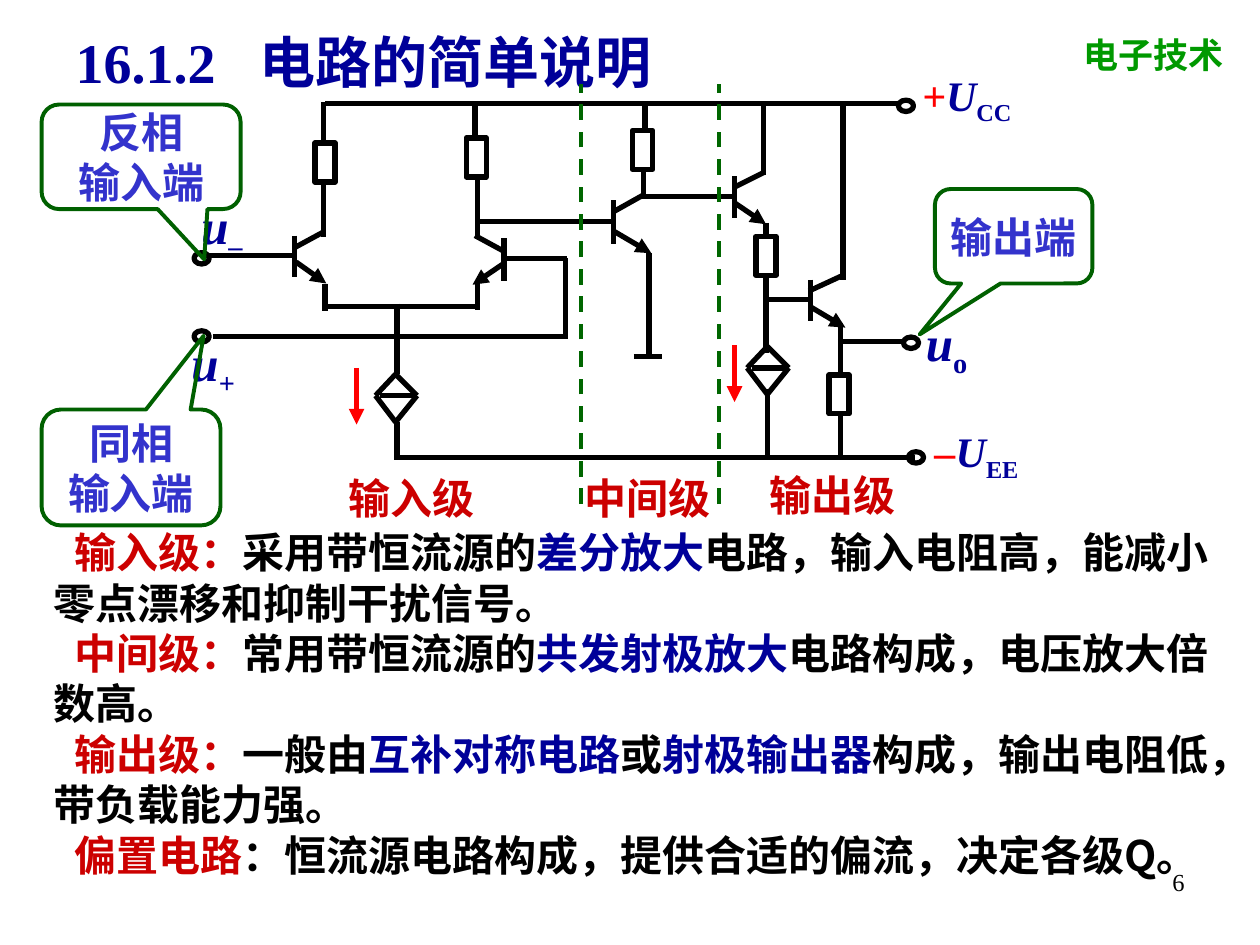
from dataclasses import dataclass

from lxml.etree import SubElement
from pptx import Presentation
from pptx.dml.color import RGBColor
from pptx.enum.dml import MSO_LINE
from pptx.enum.shapes import MSO_CONNECTOR, MSO_SHAPE
from pptx.enum.text import MSO_ANCHOR, PP_ALIGN
from pptx.oxml.ns import qn
from pptx.util import Inches, Pt


@dataclass(frozen=True)
class Theme:
    """Colours, fonts and sizes of the slide."""
    black: str = "000000"
    navy: str = "000099"
    blue: str = "3333CC"
    red: str = "CC0000"
    bright_red: str = "FF0000"
    green: str = "006600"
    callout_green: str = "006000"
    header_green: str = "009900"
    serif: str = "Times New Roman"
    sans: str = "Noto Sans CJK SC"
    title: int = 32
    terminal: int = 28
    body: int = 24
    header: int = 20
    page: int = 14
    wire: float = 3
    outline: float = 2.25


THEME = Theme()

WIRES = [
    (2.58, 0.82, 7.14, 0.82), (3.17, 3.63, 7.26, 3.63),
    (2.57, 0.81, 2.57, 1.13), (2.57, 1.46, 2.57, 1.88), (2.58, 2.25, 2.58, 2.47),
    (3.77, 0.84, 3.77, 1.09), (3.79, 1.39, 3.79, 1.9), (3.79, 2.24, 3.79, 2.46),
    (1.61, 2.03, 2.32, 2.03), (4.5, 2.05, 4, 2.05), (4.49, 2.05, 4.49, 2.69),
    (1.69, 2.67, 4.5, 2.67), (2.56, 2.43, 3.78, 2.43),
    (3.15, 2.41, 3.15, 2.97), (3.15, 3.35, 3.15, 3.65),
    (3.79, 1.76, 4.88, 1.76), (5.12, 0.83, 5.12, 1.03), (5.11, 1.35, 5.11, 1.56),
    (5.15, 2.01, 5.15, 2.83), (5.03, 2.83, 5.25, 2.83), (5.08, 1.56, 5.84, 1.56),
    (6.06, 0.84, 6.06, 1.39), (6.08, 1.77, 6.08, 1.89), (6.08, 2.19, 6.08, 2.8),
    (6.09, 3.09, 6.09, 3.65), (6.08, 2.38, 6.44, 2.38), (6.69, 0.82, 6.69, 2.22),
    (6.67, 2.56, 6.67, 2.98), (6.67, 3.29, 6.67, 3.65), (6.65, 2.71, 7.18, 2.71),
]
TRANSISTORS = [
    ((2.34, 1.87, 2.34, 2.2), (2.33, 1.97, 2.57, 1.84), (2.35, 2.08, 2.59, 2.25)),
    ((4, 1.89, 4, 2.23), (4.01, 2, 3.77, 1.87), (4, 2.09, 3.75, 2.26)),
    ((4.87, 1.59, 4.87, 1.94), (4.87, 1.68, 5.12, 1.54), (4.88, 1.84, 5.17, 2.01)),
    ((5.83, 1.4, 5.83, 1.73), (5.82, 1.49, 6.06, 1.37), (5.83, 1.61, 6.08, 1.78)),
    ((6.43, 2.22, 6.43, 2.55), (6.42, 2.31, 6.68, 2.19), (6.44, 2.44, 6.71, 2.6)),
]
RESISTORS = [(2.58, 1.29), (3.78, 1.25), (5.1, 1.19), (6.08, 2.03), (6.66, 3.13)]
TERMINALS = [(1.6, 2.05), (1.6, 2.67), (7.19, 0.84), (7.23, 2.72), (7.27, 3.63)]
CURRENT_SOURCES = [(3.14, 2.97, 2.83, 2.92), (6.09, 2.75, 5.83, 2.74)]
STAGES = [("输入级", 2.67, 3.7), ("中间级", 4.54, 3.7), ("输出级", 6.01, 3.68)]
CALLOUTS = [
    (["同相", "输入端"], (0.33, 3.25, 1.42, 0.92), (0.406, -1.136, 0.167)),
    (["输出端"], (7.42, 1.5, 1.25, 0.75), (-0.597, 1.039, 0.167)),
    (["反相", "输入端"], (0.33, 0.83, 1.58, 0.83), (0.317, 0.981, 0.167)),
]
SUPPLIES = [("+", "U", "CC", 7.22, 0.5), ("–", "U", "EE", 7.32, 3.33)]
SIGNALS = [("u", "–", True, 1.5, 1.5), ("u", "+", True, 1.42, 2.59), ("u", "o", False, 7.25, 2.43)]
EXPLANATIONS = [
    [("输入级：", THEME.red), ("采用带恒流源的", THEME.black), ("差分放大", THEME.navy),
     ("电路，输入电阻高，能减小零点漂移和抑制干扰信号。", THEME.black)],
    [("中间级：", THEME.red), ("常用带恒流源的", THEME.black), ("共发射极放大", THEME.navy),
     ("电路构成，电压放大倍数高。", THEME.black)],
    [("输出级：", THEME.red), ("一般由", THEME.black), ("互补对称电路", THEME.navy),
     ("或", THEME.black), ("射极输出器", THEME.navy),
     ("构成，输出电阻低，带负载能力强。", THEME.black)],
    [("偏置电路", THEME.red), ("：恒流源电路构成，提供合适的偏流，决定各级Q。", THEME.black)],
]


def style_font(font, size, color=None, name=THEME.serif, bold=True):
    """Set the size, face, weight and optional colour of a font."""
    font.size, font.name, font.bold = Pt(size), name, bold
    if color:
        font.color.rgb = RGBColor.from_string(color)


def add_line(slide, ends, color=THEME.black, width=THEME.wire, arrow=False, dash=None):
    """Draw a straight line between two points, optionally with an arrowhead."""
    line = slide.shapes.add_connector(MSO_CONNECTOR.STRAIGHT, *map(Inches, ends))
    line.line.color.rgb = RGBColor.from_string(color)
    line.line.width = Pt(width)
    if dash:
        line.line.dash_style = dash
    if arrow:
        SubElement(line.line._get_or_add_ln(), qn("a:tailEnd"), type="triangle")
    SubElement(line._element.spPr, qn("a:effectLst"))


def add_outline(slide, kind, box, color=THEME.black, width=THEME.wire):
    """Draw an unfilled preset shape."""
    outline = slide.shapes.add_shape(kind, *map(Inches, box))
    outline.shadow.inherit = False
    outline.fill.background()
    outline.line.color.rgb = RGBColor.from_string(color)
    outline.line.width = Pt(width)
    return outline


def add_centred(slide, kind, center, width, height):
    """Draw an unfilled preset shape around a centre point."""
    x, y = center
    add_outline(slide, kind, (x - width / 2, y - height / 2, width, height))


def add_current_source(slide, x, top, arrow_x, arrow_top):
    """Draw a split diamond and its red current arrow."""
    middle, bottom, left, right = top + 0.17, top + 0.38, x - 0.16, x + 0.17
    for ends in [(x, top, left, middle), (left, middle, x, bottom), (x, top, right, middle),
                 (right, middle, x, bottom), (left + 0.04, middle, right, middle)]:
        add_line(slide, ends)
    add_line(slide, (arrow_x, arrow_top, arrow_x, arrow_top + 0.45), THEME.bright_red, arrow=True)


def add_text(slide, box, text, size, color, align=PP_ALIGN.LEFT, bold=True):
    """Add a text box with one paragraph in one style."""
    frame = slide.shapes.add_textbox(*map(Inches, box)).text_frame
    frame.word_wrap = True
    paragraph = frame.paragraphs[0]
    paragraph.text, paragraph.alignment = text, align
    style_font(paragraph.font, size, color, bold=bold)
    return frame


def add_symbol(slide, box, size, parts):
    """Add a symbol from (text, colour, italic, subscript) parts."""
    frame = slide.shapes.add_textbox(*map(Inches, box)).text_frame
    frame.word_wrap = True
    paragraph = frame.paragraphs[0]
    style_font(paragraph.font, size)
    for text, color, italic, subscript in parts:
        run = paragraph.add_run()
        run.text, run.font.italic = text, italic
        run.font.color.rgb = RGBColor.from_string(color)
        if subscript:
            run.font._element.set("baseline", "-25000")


def add_callout(slide, lines, box, adjustments):
    """Add a rounded callout with centred lines."""
    callout = add_outline(slide, MSO_SHAPE.ROUNDED_RECTANGULAR_CALLOUT, box,
                          THEME.callout_green, THEME.outline)
    for index, value in enumerate(adjustments):
        callout.adjustments[index] = value
    frame = callout.text_frame
    frame.text, frame.word_wrap = "\n".join(lines), False
    frame.vertical_anchor = MSO_ANCHOR.MIDDLE
    for paragraph in frame.paragraphs:
        paragraph.alignment = PP_ALIGN.CENTER
        style_font(paragraph.font, THEME.body, THEME.blue)


def set_title(slide):
    """Place and format the title, with a tab after its number."""
    title = slide.shapes.title
    title.left, title.top, title.width, title.height = map(Inches, (0.5, 0.17, 6.67, 0.58))
    title.text_frame.vertical_anchor = MSO_ANCHOR.TOP
    paragraph = title.text_frame.paragraphs[0]
    paragraph.text, paragraph.alignment = "16.1.2\t电路的简单说明", PP_ALIGN.LEFT
    tabs = SubElement(paragraph._p.get_or_add_pPr(), qn("a:tabLst"))
    SubElement(tabs, qn("a:tab"), pos=str(Inches(1.46)), algn="l")
    style_font(paragraph.font, THEME.title, THEME.navy)


def add_explanations(slide):
    """Add the paragraphs that explain each stage."""
    frame = slide.shapes.add_textbox(*map(Inches, (0.33, 4.13, 9.47, 2.85))).text_frame
    frame.word_wrap, frame.vertical_anchor = True, MSO_ANCHOR.MIDDLE
    frame.margin_bottom = 0
    for index, parts in enumerate(EXPLANATIONS):
        paragraph = frame.add_paragraph() if index else frame.paragraphs[0]
        paragraph._p.get_or_add_pPr().set("indent", str(Inches(0.16)))
        style_font(paragraph.font, THEME.body, name=THEME.sans)
        for text, color in parts:
            run = paragraph.add_run()
            run.text = text
            run.font.color.rgb = RGBColor.from_string(color)


def add_circuit(slide):
    """Draw the amplifier circuit."""
    for ends in WIRES:
        add_line(slide, ends)
    for base, collector, emitter in TRANSISTORS:
        add_line(slide, base)
        add_line(slide, collector)
        add_line(slide, emitter, arrow=True)
    for center in RESISTORS:
        add_centred(slide, MSO_SHAPE.RECTANGLE, center, 0.16, 0.31)
    for center in TERMINALS:
        add_centred(slide, MSO_SHAPE.OVAL, center, 0.12, 0.09)
    for source in CURRENT_SOURCES:
        add_current_source(slide, *source)


def add_labels(slide):
    """Name the supplies, signals, stages and terminals."""
    for sign, letter, index, x, y in SUPPLIES:
        add_symbol(slide, (x, y, 1.28, 0.56), THEME.body,
                   [(sign, THEME.bright_red, True, False), (letter, THEME.navy, True, False),
                    (index, THEME.navy, False, True)])
    for letter, index, italic, x, y in SIGNALS:
        add_symbol(slide, (x, y, 0.74, 0.63), THEME.terminal,
                   [(letter, THEME.navy, True, False), (index, THEME.navy, italic, True)])
    for text, x, y in STAGES:
        frame = add_text(slide, (x, y, 1.2, 0.45), text, THEME.body, THEME.red, PP_ALIGN.CENTER)
        frame.word_wrap, frame.vertical_anchor = False, MSO_ANCHOR.MIDDLE
        frame.margin_bottom = 0
    for x in (4.61, 5.71):
        add_line(slide, (x, 4, x, 0.67), THEME.green, THEME.outline, dash=MSO_LINE.DASH)
    for callout in CALLOUTS:
        add_callout(slide, *callout)


def main():
    """Build and save the slide."""
    deck = Presentation()
    deck.slide_width, deck.slide_height = Inches(10), Inches(7.5)
    slide = deck.slides.add_slide(deck.slide_layouts[5])
    add_text(slide, (8.5, 0.22, 1.45, 0.44), "电子技术", THEME.header, THEME.header_green)
    add_circuit(slide)
    set_title(slide)
    add_labels(slide)
    add_explanations(slide)
    add_text(slide, (7.17, 6.83, 2.33, 0.52), "6", THEME.page, THEME.black, PP_ALIGN.RIGHT, False)
    deck.save("out.pptx")


if __name__ == "__main__":
    main()
